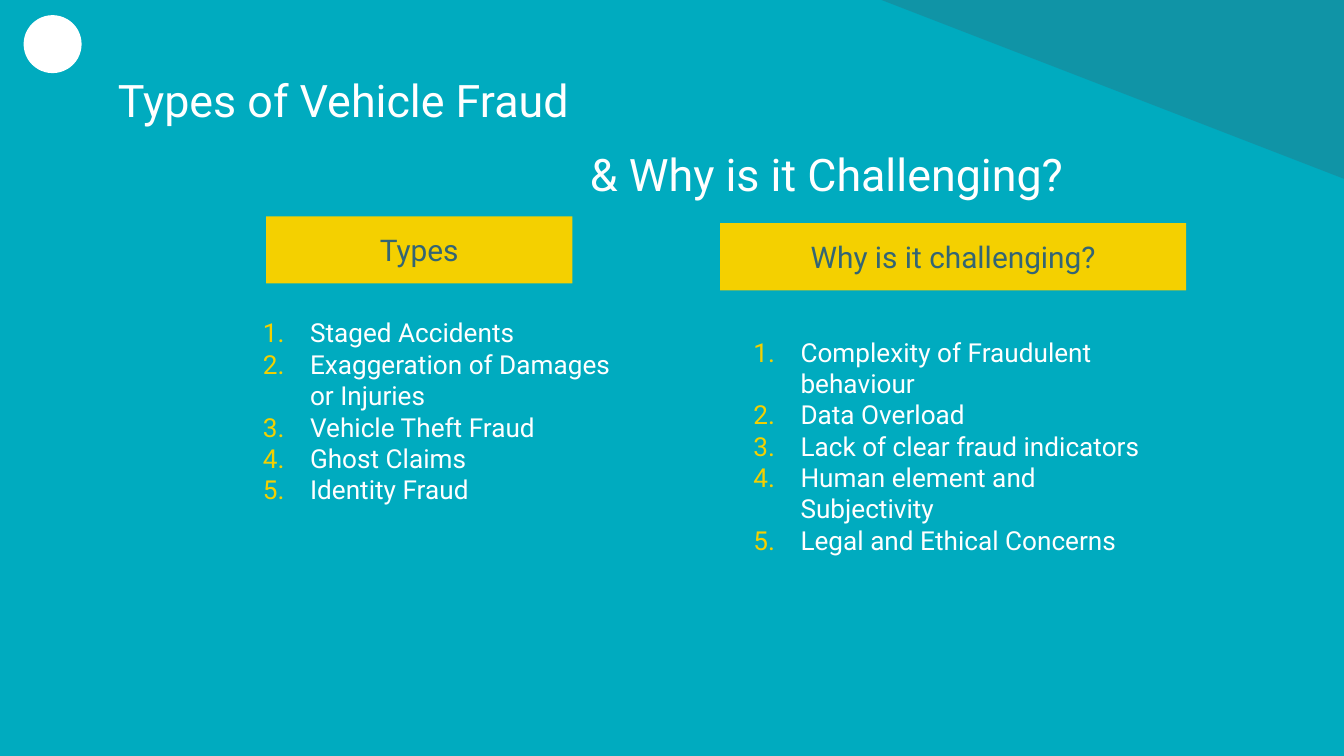
from dataclasses import dataclass

from lxml import etree
from pptx import Presentation
from pptx import util as u
from pptx.dml.color import RGBColor
from pptx.enum import shapes, text
from pptx.oxml.ns import qn


@dataclass(frozen=True)
class Theme:
    background: str = "00ABBF"
    light: str = "FFFFFF"
    dark: str = "336574"
    accent: str = "F4D000"
    font: str = "Roboto"
    title_size: int = 24
    heading_size: int = 16
    list_size: int = 14


@dataclass(frozen=True)
class Box:
    """Left, top, width and height in centimetres."""
    left: float
    top: float
    width: float
    height: float

    def lengths(self) -> tuple:
        return tuple(u.Cm(v) for v in (self.left, self.top, self.width, self.height))


@dataclass(frozen=True)
class Column:
    heading: str
    heading_box: Box
    items: tuple
    list_box: Box


THEME = Theme()
INSET = u.Cm(0.25)
LIST_INDENT = u.Cm(1.27)
LIST_HANGING = u.Cm(0.89)

COLUMNS = (
    Column(
        "Types", Box(5.03, 4.09, 5.79, 1.27),
        ("Staged Accidents", "Exaggeration of Damages or Injuries",
         "Vehicle Theft Fraud", "Ghost Claims", "Identity Fraud"),
        Box(4.34, 5.74, 7.75, 4.04)),
    Column(
        "Why is it challenging?", Box(13.61, 4.22, 8.81, 1.27),
        ("Complexity of Fraudulent behaviour", "Data Overload",
         "Lack of clear fraud indicators", "Human element and Subjectivity",
         "Legal and Ethical Concerns"),
        Box(13.61, 6.1, 8.81, 5.61)),
)


def add_filled_shape(slide, kind, box: Box, color: str):
    shape = slide.shapes.add_shape(kind, *box.lengths())
    shape.shadow.inherit = False
    shape.fill.solid()
    shape.fill.fore_color.rgb = RGBColor.from_string(color)
    shape.line.fill.background()
    return shape


def prepare_frame(shape, anchor):
    frame = shape.text_frame
    frame.word_wrap = True
    frame.auto_size = text.MSO_AUTO_SIZE.NONE
    frame.vertical_anchor = anchor
    frame.margin_left = frame.margin_right = INSET
    frame.margin_top = frame.margin_bottom = INSET
    return frame


def add_run(paragraph, words: str, size: int, color: str, align=text.PP_ALIGN.LEFT) -> None:
    paragraph.alignment = align
    run = paragraph.add_run()
    run.text = words
    run.font.name = THEME.font
    run.font.size = u.Pt(size)
    run.font.color.rgb = RGBColor.from_string(color)


def write_title(shape, words: str) -> None:
    frame = prepare_frame(shape, text.MSO_ANCHOR.MIDDLE)
    add_run(frame.paragraphs[0], words, THEME.title_size, THEME.light)


def number_paragraph(paragraph) -> None:
    properties = paragraph._p.get_or_add_pPr()
    properties.set("marL", str(LIST_INDENT))
    properties.set("indent", str(-LIST_HANGING))
    bullet_color = etree.SubElement(properties, qn("a:buClr"))
    etree.SubElement(bullet_color, qn("a:srgbClr"), val=THEME.accent)
    etree.SubElement(properties, qn("a:buFont"), typeface=THEME.font)
    etree.SubElement(properties, qn("a:buAutoNum"), type="arabicPeriod")


def add_column(slide, column: Column) -> None:
    heading = add_filled_shape(
        slide, shapes.MSO_SHAPE.RECTANGLE, column.heading_box, THEME.accent)
    frame = prepare_frame(heading, text.MSO_ANCHOR.MIDDLE)
    add_run(frame.paragraphs[0], column.heading, THEME.heading_size,
            THEME.dark, text.PP_ALIGN.CENTER)

    list_box = slide.shapes.add_textbox(*column.list_box.lengths())
    frame = prepare_frame(list_box, text.MSO_ANCHOR.TOP)
    for index, item in enumerate(column.items):
        paragraph = frame.add_paragraph() if index else frame.paragraphs[0]
        number_paragraph(paragraph)
        add_run(paragraph, item, THEME.list_size, THEME.light)


def main() -> None:
    presentation = Presentation()
    presentation.slide_width = u.Cm(25.4)
    presentation.slide_height = u.Cm(14.29)
    slide = presentation.slides.add_slide(presentation.slide_layouts[5])
    slide.background.fill.solid()
    slide.background.fill.fore_color.rgb = RGBColor.from_string(THEME.background)

    # Translucent corner
    corner = add_filled_shape(slide, shapes.MSO_SHAPE.RIGHT_TRIANGLE,
                              Box(16.66, 0, 8.74, 3.38), THEME.dark)
    corner.rotation = 180
    corner_color = corner.fill._xPr.find(qn("a:solidFill"))[0]
    etree.SubElement(corner_color, qn("a:alpha"), val="32000")

    # White disc
    disc = add_filled_shape(slide, shapes.MSO_SHAPE.OVAL,
                            Box(0.46, 0.3, 1.07, 1.07), THEME.light)
    disc.line.color.rgb = RGBColor.from_string(THEME.light)
    disc.line.width = u.Pt(0.75)

    # Title in two staggered lines
    title = slide.shapes.title
    title.left, title.top, title.width, title.height = Box(1.98, 1.09, 21.44, 1.6).lengths()
    write_title(title, "Types of Vehicle Fraud")
    second_line = slide.shapes.add_textbox(*Box(10.9, 2.49, 14.1, 1.6).lengths())
    write_title(second_line, "& Why is it Challenging?")

    # Headed numbered lists
    for column in COLUMNS:
        add_column(slide, column)

    presentation.save("out.pptx")


if __name__ == "__main__":
    main()
